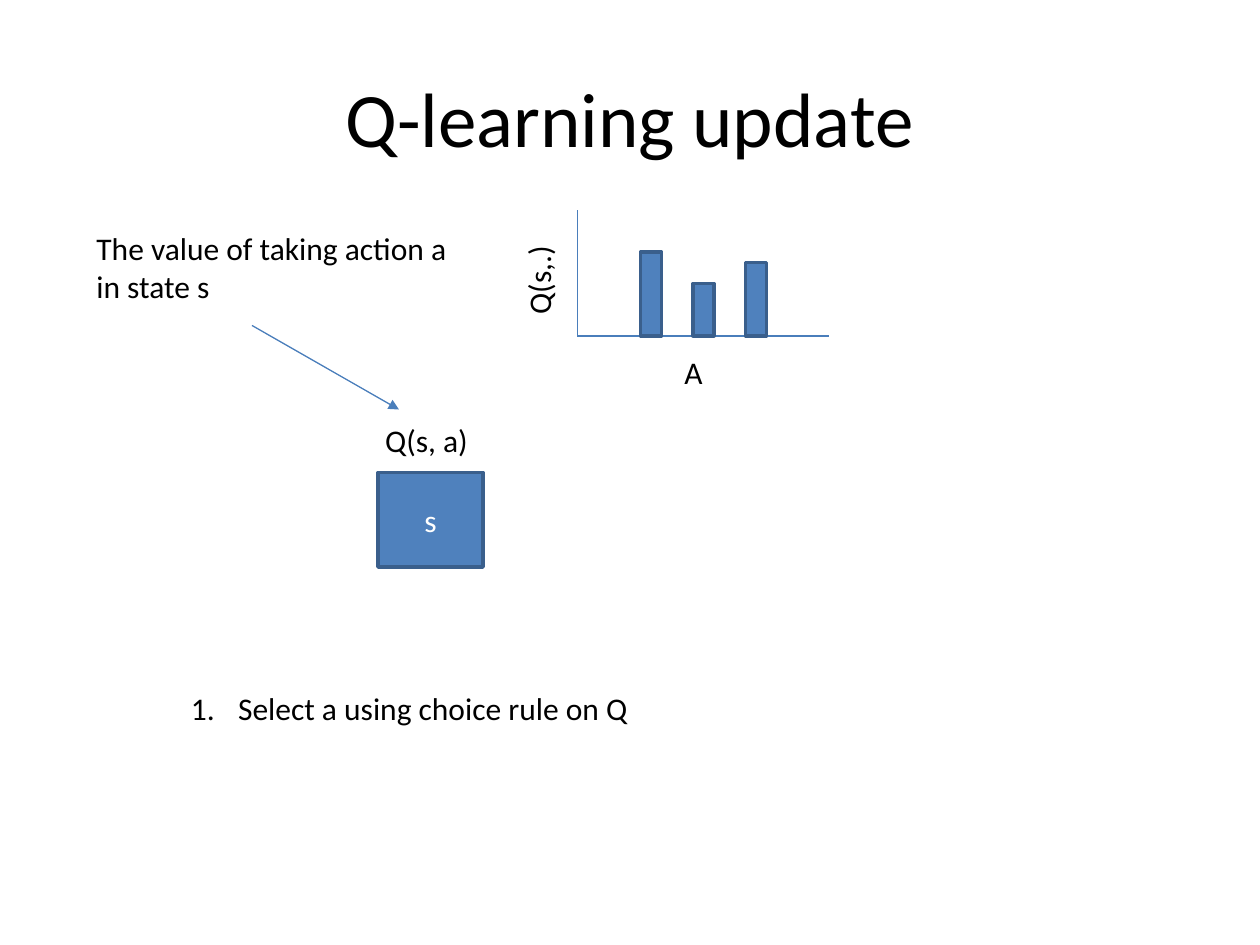
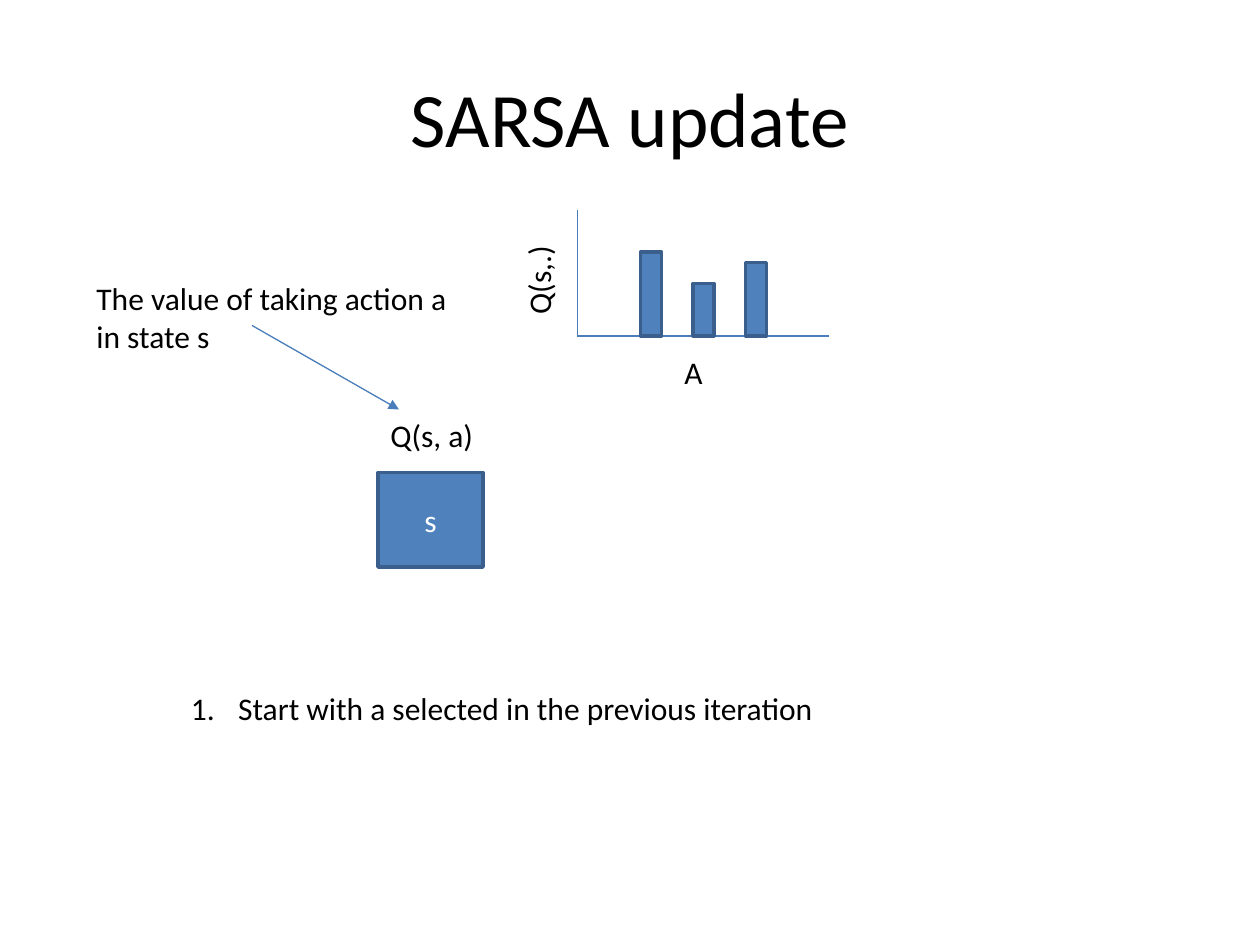
from lxml import etree
from pptx import Presentation
from pptx import util as u
from pptx.dml import color
from pptx.enum import shapes, text
from pptx.oxml import ns

SCALE = 7620
BASELINE = 320
AXIS_LEFT = 550
BAR_LEFT, BAR_STEP, BAR_WIDTH = 610, 50, 20
BAR_HEIGHTS = (80, 50, 70)


def px(length):
    return u.Emu(length * SCALE)


def rgb(code):
    return color.RGBColor.from_string(code)


class Board:
    font = "Calibri"
    ink, paper = "000000", "FFFFFF"
    fill, outline, stroke = "4F81BD", "3A5F8C", "4A7EBB"
    body_size, title_size = 18, 44

    def __init__(self, presentation):
        self.presentation = presentation
        self.slide = None

    def new_slide(self, title):
        self.slide = self.presentation.slides.add_slide(self.presentation.slide_layouts[6])
        self.label(title, 60, 36, 1080, 150, size=self.title_size, centred=True)

    def set_text(self, shape, words, size, ink, centred):
        frame = shape.text_frame
        frame.word_wrap = True
        frame.vertical_anchor = text.MSO_ANCHOR.MIDDLE if centred else text.MSO_ANCHOR.TOP
        paragraph = frame.paragraphs[0]
        paragraph.alignment = text.PP_ALIGN.CENTER if centred else text.PP_ALIGN.LEFT
        run = paragraph.add_run()
        run.text = words
        run.font.name = self.font
        run.font.size = u.Pt(size)
        run.font.color.rgb = rgb(ink)
        return paragraph

    def label(self, words, left, top, width, height, size=body_size, centred=False, rotation=0):
        shape = self.slide.shapes.add_textbox(px(left), px(top), px(width), px(height))
        shape.rotation = rotation
        return self.set_text(shape, words, size, self.ink, centred)

    def numbered(self, words, left, top, width, height, indent=45):
        paragraph = self.label(words, left, top, width, height)
        properties = paragraph._p.get_or_add_pPr()
        properties.set("marL", str(px(indent)))
        properties.set("indent", str(-px(indent)))
        etree.SubElement(properties, ns.qn("a:buFont"), typeface="+mj-lt")
        etree.SubElement(properties, ns.qn("a:buAutoNum"), type="arabicPeriod")

    def box(self, left, top, width, height, words=None):
        shape = self.slide.shapes.add_shape(
            shapes.MSO_SHAPE.RECTANGLE, px(left), px(top), px(width), px(height))
        shape.shadow.inherit = False
        shape.fill.solid()
        shape.fill.fore_color.rgb = rgb(self.fill)
        shape.line.color.rgb = rgb(self.outline)
        shape.line.width = u.Pt(2)
        if words:
            self.set_text(shape, words, self.body_size, self.paper, centred=True)

    def line(self, start, end, arrow=False):
        connector = self.slide.shapes.add_connector(
            shapes.MSO_CONNECTOR.STRAIGHT, *map(px, start + end))
        connector.line.color.rgb = rgb(self.stroke)
        connector.line.width = u.Pt(0.75)
        properties = connector._element.spPr
        if arrow:
            etree.SubElement(properties.find(ns.qn("a:ln")), ns.qn("a:tailEnd"), type="triangle")
        etree.SubElement(properties, ns.qn("a:effectLst"))

    def action_values(self):
        origin = (AXIS_LEFT, BASELINE)
        self.line(origin, (AXIS_LEFT + 240, BASELINE))
        self.line(origin, (AXIS_LEFT, BASELINE - 120))
        for index, height in enumerate(BAR_HEIGHTS):
            self.box(BAR_LEFT + index * BAR_STEP, BASELINE - height, BAR_WIDTH, height)
        self.label("Q(s,.)", 458, 232, 110, 48, rotation=270)
        self.label("A", 640, 330, 50, 48)

    def update_slide(self, title, step, value_position, note_top):
        self.new_slide(title)
        self.box(360, 450, 100, 90, "s")
        self.label("Q(s, a)", *value_position, 140, 48)
        self.numbered(step, 170, 650, 720, 48)
        self.label("The value of taking action a in state s", 80, note_top, 380, 84)
        self.line((240, 310), (380, 390), arrow=True)
        self.action_values()


def main():
    presentation = Presentation()
    presentation.slide_width = px(1200)
    presentation.slide_height = px(900)
    board = Board(presentation)
    board.update_slide("Q-learning update", "Select a using choice rule on Q", (355, 395), 212)
    board.update_slide(
        "SARSA update", "Start with a selected in the previous iteration", (360, 390), 260)
    presentation.save("out.pptx")


if __name__ == "__main__":
    main()
